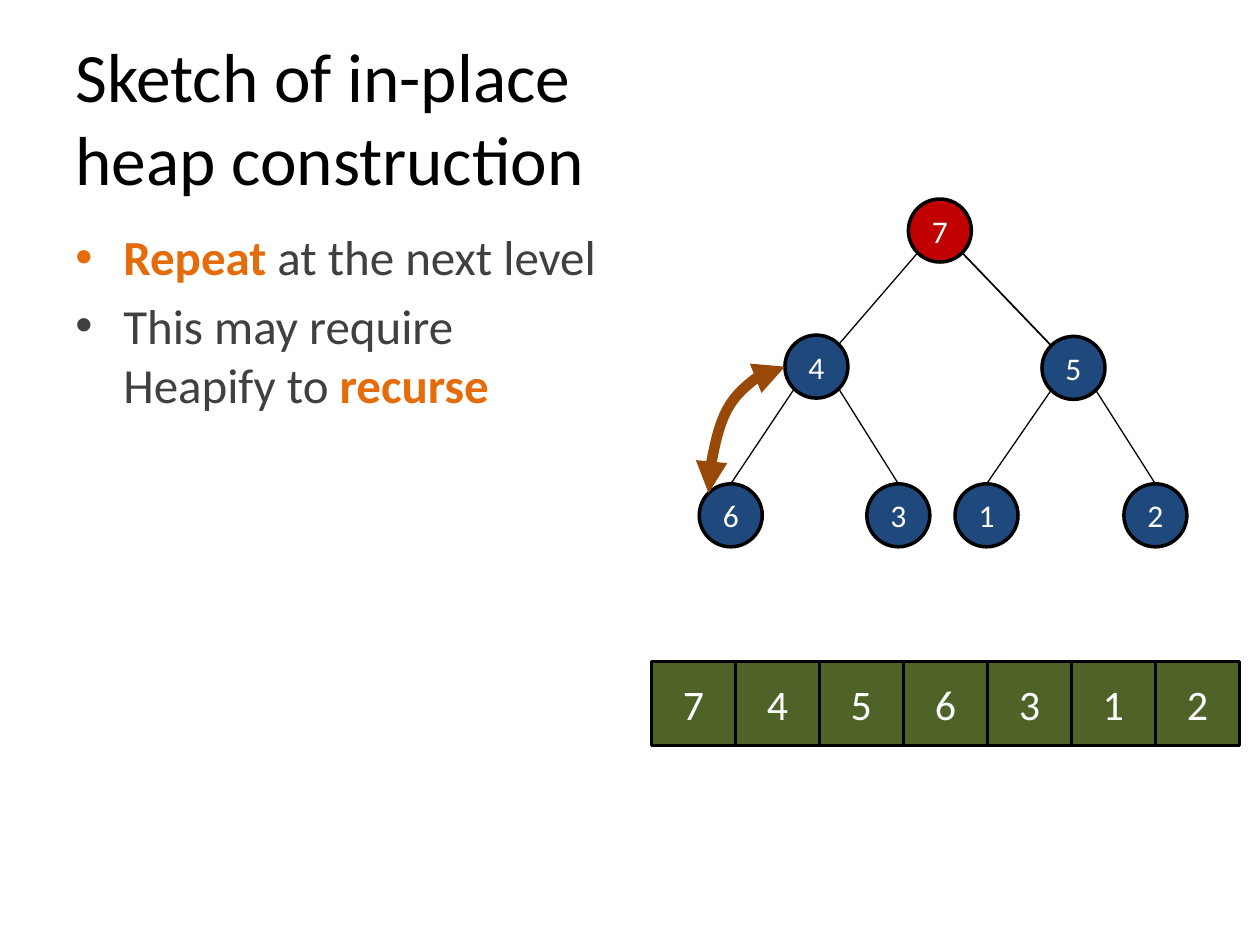
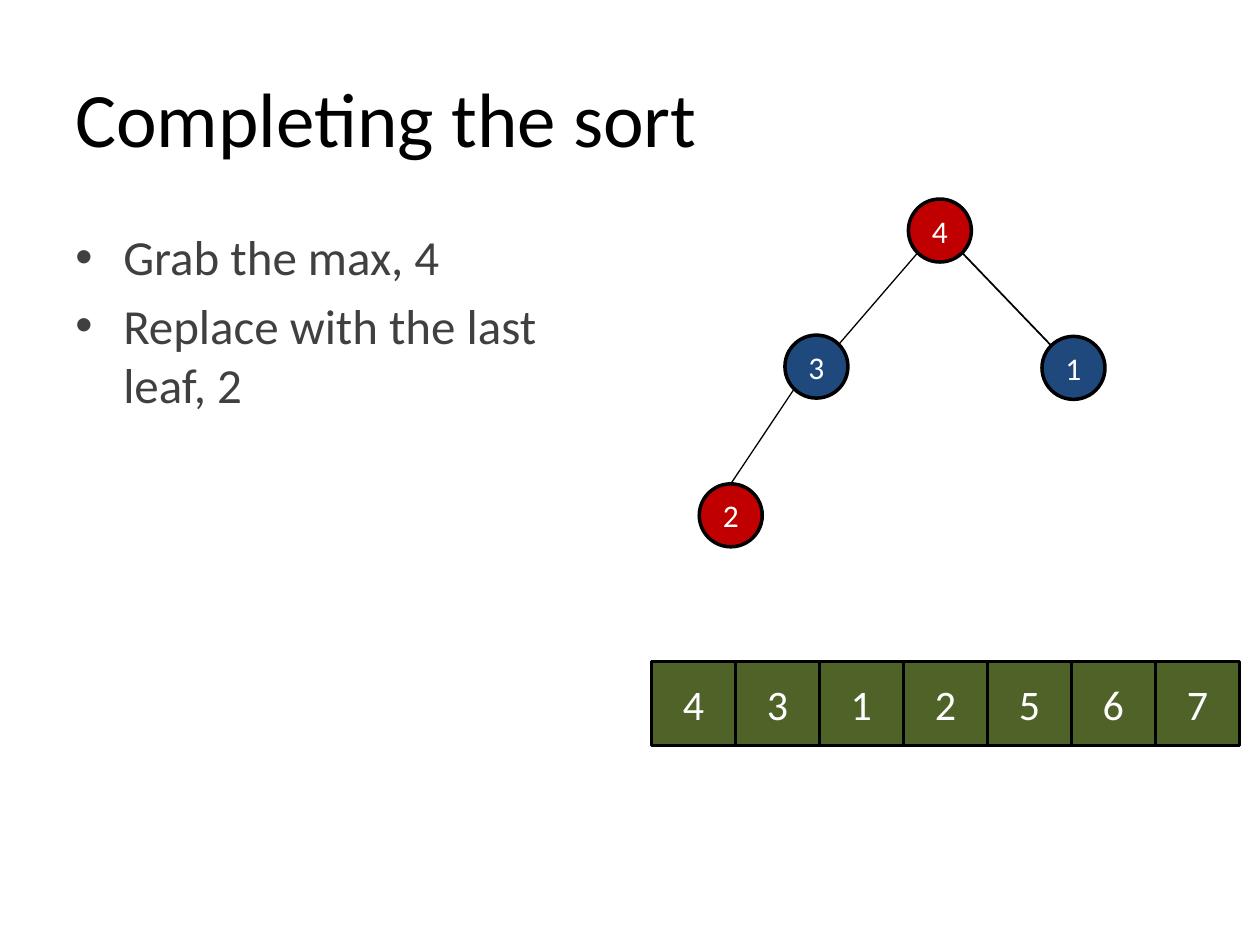
from lxml import etree
from pptx import Presentation
from pptx import util as u
from pptx.dml.color import RGBColor
from pptx.enum import shapes, text
from pptx.oxml.ns import qn

FONT = "Calibri"
COLORS = {
    "black": "000000", "white": "FFFFFF", "body": "404040", "accent": "E46C0A",
    "node": "1F497D", "marked": "C00000", "cell": "4F6228", "swap": "984807",
}
NODE = 0.5
CELL = 2 / 3
DIAG = NODE / 2 * 0.5 ** 0.5
CENTERS = [(2.29, 0.25), (1.31, 1.33), (3.35, 1.34),
           (0.63, 2.51), (1.96, 2.51), (2.66, 2.51), (4.0, 2.51)]
TREE_AT = (5.17, 1.58)
ARRAY_AT = (5.17, 5.25)


def rgb(name):
    return RGBColor.from_string(COLORS[name])


def add_run(p, words, size, color, bold=False):
    r = p.add_run()
    r.text = words
    r.font.name = FONT
    r.font.size = u.Pt(size)
    r.font.bold = bold
    r.font.color.rgb = rgb(color)


def add_text_box(s, box, anchor):
    tf = s.shapes.add_textbox(*map(u.Inches, box)).text_frame
    tf.word_wrap = True
    tf.vertical_anchor = anchor
    return tf


def add_title(s, box, lines, size):
    p = add_text_box(s, box, text.MSO_ANCHOR.MIDDLE).paragraphs[0]
    for i, line in enumerate(lines):
        if i:
            p.add_line_break()
        add_run(p, line, size, "black")


def add_bullets(s, box, items):
    tf = add_text_box(s, box, text.MSO_ANCHOR.TOP)
    for i, runs in enumerate(items):
        p = tf.add_paragraph() if i else tf.paragraphs[0]
        p.space_before = u.Pt(5.6)
        pPr = p._p.get_or_add_pPr()
        pPr.set("marL", str(u.Inches(0.38)))
        pPr.set("indent", str(-u.Inches(0.38)))
        etree.SubElement(pPr, qn("a:buFont"), typeface="Arial")
        etree.SubElement(pPr, qn("a:buChar"), char="•")
        for words, strong in runs:
            add_run(p, words, 28, "accent" if strong else "body", strong)


def add_value(s, kind, x, y, side, value, fill, size):
    sp = s.shapes.add_shape(kind, *map(u.Inches, (x, y, side, side)))
    sp.shadow.inherit = False
    sp.fill.solid()
    sp.fill.fore_color.rgb = rgb(fill)
    sp.line.color.rgb = rgb("black")
    sp.line.width = u.Pt(2)
    tf = sp.text_frame
    tf.margin_left = tf.margin_right = 0
    tf.vertical_anchor = text.MSO_ANCHOR.MIDDLE
    p = tf.paragraphs[0]
    p.alignment = text.PP_ALIGN.CENTER
    add_run(p, str(value), size, "white")


def add_line(s, kind, start, end, color, width):
    cx = s.shapes.add_connector(kind, *map(u.Inches, (*start, *end)))
    cx.line.color.rgb = rgb(color)
    cx.line.width = u.Pt(width)
    etree.SubElement(cx._element.spPr, qn("a:effectLst"))
    return cx


def add_edge(s, origin, child):
    left, top = origin
    px, py = CENTERS[(child - 1) // 2]
    x, y = CENTERS[child]
    side = -1 if x < px else 1
    start = (left + px + side * DIAG, top + py + DIAG)
    if child < 3:
        end = (left + x - side * DIAG, top + y - DIAG)
    else:
        end = (left + x, top + y - NODE / 2)
    add_line(s, shapes.MSO_CONNECTOR.STRAIGHT, start, end, "black",
             1 if child == 2 else 0.75)


def add_tree(s, origin, values, marked):
    left, top = origin
    for i, (value, (x, y)) in enumerate(zip(values, CENTERS)):
        if i:
            add_edge(s, origin, i)
        add_value(s, shapes.MSO_SHAPE.OVAL, left + x - NODE / 2,
                  top + y - NODE / 2, NODE, value,
                  "marked" if i in marked else "node", 18)


def add_swap_arrow(s, origin, parent, child):
    left, top = origin
    (px, py), (x, y) = CENTERS[parent], CENTERS[child]
    cx = add_line(s, shapes.MSO_CONNECTOR.CURVE,
                  (left + px - NODE / 2, top + py),
                  (left + x - DIAG, top + y - DIAG), "swap", 6)
    spPr = cx._element.spPr
    spPr.find(qn("a:prstGeom")).set("prst", "curvedConnector2")
    xfrm = spPr.find(qn("a:xfrm"))
    xfrm.attrib.pop("flipH", None)
    xfrm.set("rot", "10800000")
    xfrm.set("flipV", "1")
    ln = spPr.find(qn("a:ln"))
    for end in ("a:headEnd", "a:tailEnd"):
        etree.SubElement(ln, qn(end), type="triangle")


def add_array(s, origin, values):
    left, top = origin
    for i, value in enumerate(values):
        add_value(s, shapes.MSO_SHAPE.RECTANGLE, left + i * CELL, top, CELL,
                  value, "cell", 24)


def add_heap_slide(prs, title, title_size, bullets, array, heap_size, marked):
    s = prs.slides.add_slide(prs.slide_layouts[6])
    add_title(s, (0.5, 0.3, 9, 1.25), title, title_size)
    add_bullets(s, (0.5, 1.75, 4.42, 4.95), bullets)
    add_tree(s, TREE_AT, array[:heap_size], marked)
    add_array(s, ARRAY_AT, array)
    return s


def main():
    prs = Presentation()
    prs.slide_width, prs.slide_height = u.Inches(10), u.Inches(7.5)
    s = add_heap_slide(
        prs, ["Sketch of in-place", "heap construction"], 39.6,
        [[("Repeat ", True), ("at the next level", False)],
         [("This may require Heapify to ", False), ("recurse", True)]],
        [7, 4, 5, 6, 3, 1, 2], 7, {0})
    add_swap_arrow(s, TREE_AT, 1, 3)
    add_heap_slide(
        prs, ["Completing the sort"], 44,
        [[("Grab the max, 4", False)],
         [("Replace with the last leaf, 2", False)]],
        [4, 3, 1, 2, 5, 6, 7], 4, {0, 3})
    prs.save("out.pptx")


if __name__ == "__main__":
    main()
